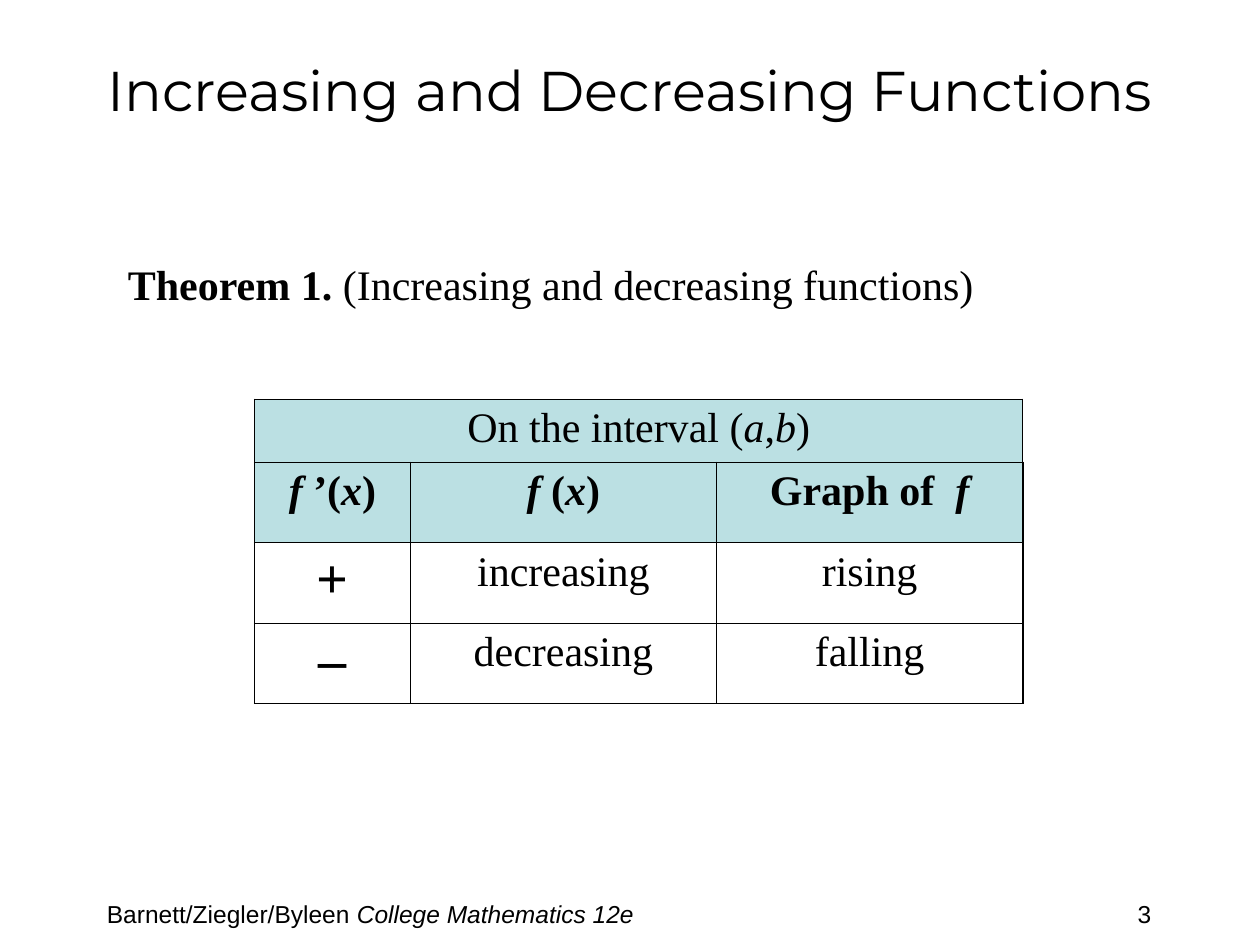
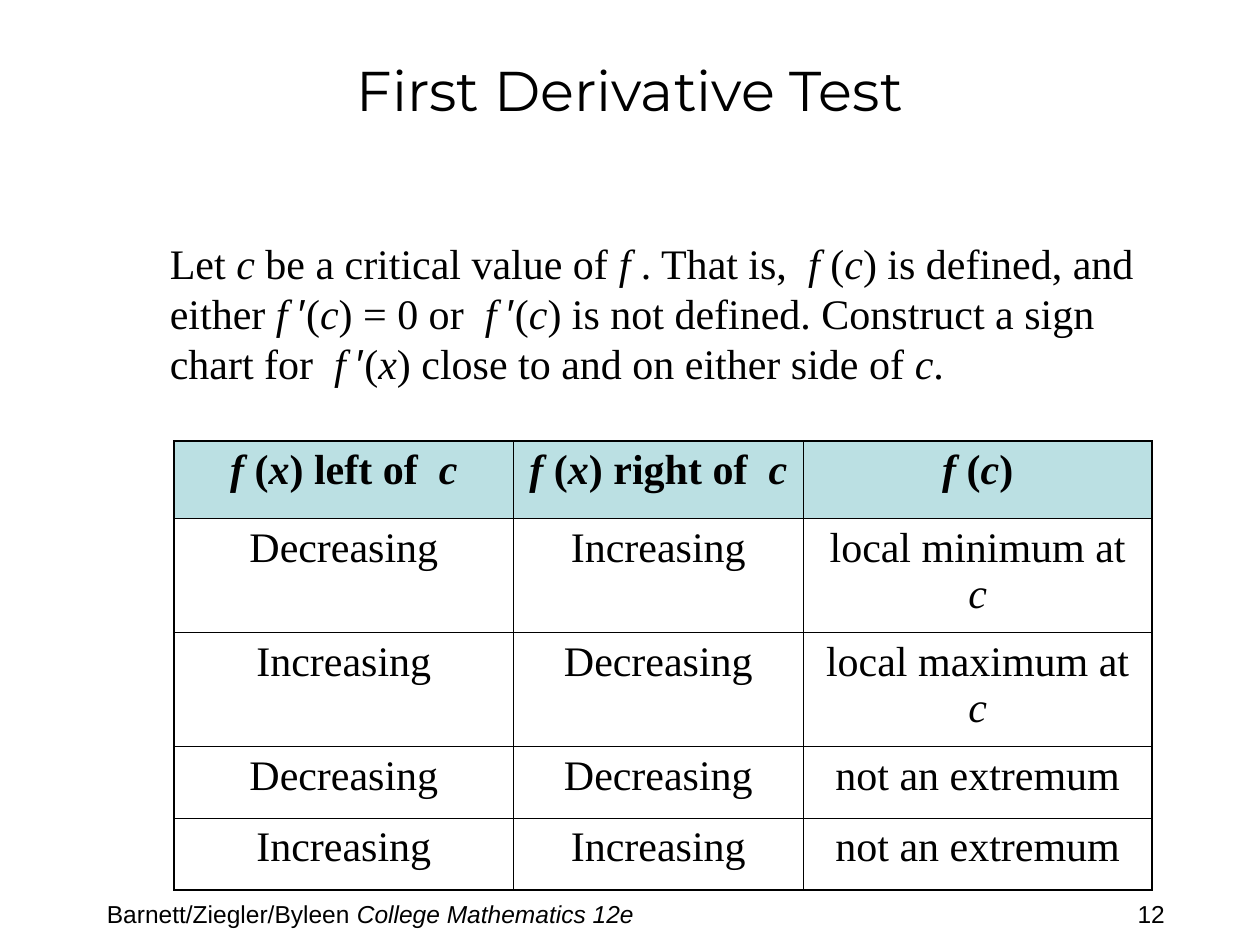
from dataclasses import dataclass
from itertools import groupby

from lxml.etree import SubElement
from pptx import Presentation
from pptx.dml.color import RGBColor
from pptx.enum.text import MSO_ANCHOR, MSO_AUTO_SIZE, PP_ALIGN
from pptx.oxml.ns import qn
from pptx.util import Pt


@dataclass(frozen=True)
class Theme:
    ink: RGBColor = RGBColor(0x00, 0x00, 0x00)
    header_fill: RGBColor = RGBColor(0xBB, 0xE0, 0xE3)
    title_font: str = "Montserrat"
    body_font: str = "Times New Roman"
    footer_font: str = "Arial"
    title_size: int = 32
    body_size: int = 24
    sign_size: int = 32
    footer_size: int = 14
    outer_line: float = 1.08
    inner_line: float = 0.45


theme = Theme()


def write(frame, text, font_name, size, bold=False, alignment=PP_ALIGN.LEFT):
    """Write one paragraph, where *...* toggles bold and _..._ italic."""
    paragraph = frame.paragraphs[0]
    paragraph.alignment = alignment
    for bold_index, bold_part in enumerate(text.split("*")):
        for italic_index, part in enumerate(bold_part.split("_")):
            for is_prime, letters in groupby(part, lambda letter: letter == "′"):
                run = paragraph.add_run()
                run.text = "".join(letters)
                formats = {
                    "name": theme.footer_font if is_prime else font_name,
                    "size": Pt(size),
                    "bold": bold or bold_index % 2 == 1,
                    "italic": italic_index % 2 == 1,
                }
                for name, value in formats.items():
                    setattr(run.font, name, value)
                run.font.color.rgb = theme.ink


def draw_border(cell, side, width):
    line = SubElement(cell._tc.get_or_add_tcPr(), qn(f"a:ln{side}"), w=str(Pt(width)))
    fill = SubElement(line, qn("a:solidFill"))
    SubElement(fill, qn("a:srgbClr"), val=str(theme.ink))


slides = [
    {
        "title": "Increasing and Decreasing Functions",
        "number": "3",
        "statement": "*Theorem 1.* (Increasing and decreasing functions)",
        "statement_box": (66, 144, 516, 36),
        "table_corner": (145.5, 228),
        "columns": [89, 175, 175],
        "rows": [36, 46, 46, 46],
        "header_rows": 2,
        "top_line": theme.inner_line,
        "cells": [
            ["On the interval (_a_,_b_)"],
            ["*_f _’(_x_)*", "*_f_ (_x_)*", "*Graph of  _f_*"],
            ["+", "increasing", "rising"],
            ["–", "decreasing", "falling"],
        ],
    },
    {
        "title": "First Derivative Test",
        "number": "12",
        "statement": (
            "Let _c_ be a critical value of _f_ . That is,  _f_ (_c_) is defined, "
            "and either _f _′(_c_) = 0 or  _f _′(_c_) is not defined. Construct a "
            "sign chart for  _f _′(_x_) close to and on either side of _c_."
        ),
        "statement_box": (90, 132, 570, 94),
        "table_corner": (99.5, 252),
        "columns": [194, 165.5, 199.5],
        "rows": [44.5, 65, 65, 41, 41],
        "header_rows": 1,
        "top_line": theme.outer_line,
        "cells": [
            ["*_f_ (_x_) left of  _c_*", "*_f_ (_x_) right of  _c_*", "*_f_ (_c_)*"],
            ["Decreasing", "Increasing", "local minimum at _c_"],
            ["Increasing", "Decreasing", "local maximum at _c_"],
            ["Decreasing", "Decreasing", "not an extremum"],
            ["Increasing", "Increasing", "not an extremum"],
        ],
    },
]

presentation = Presentation()
presentation.slide_width = Pt(720)
presentation.slide_height = Pt(540)
title_only = presentation.slide_layouts[5]

for content in slides:
    slide = presentation.slides.add_slide(title_only)

    title = slide.shapes.title
    for name, value in {"left": 54, "top": 6, "width": 612, "height": 90}.items():
        setattr(title, name, Pt(value))
    title.text_frame.auto_size = MSO_AUTO_SIZE.NONE
    title.text_frame.vertical_anchor = MSO_ANCHOR.MIDDLE
    write(title.text_frame, content["title"], theme.title_font, theme.title_size,
          alignment=PP_ALIGN.CENTER)

    footer = "Barnett/Ziegler/Byleen _College Mathematics 12e_"
    for text, box, font_name, size in [
        (content["number"], (643, 510, 72, 24), theme.footer_font, theme.footer_size),
        (footer, (54, 510, 420, 18), theme.footer_font, theme.footer_size),
        (content["statement"], content["statement_box"], theme.body_font, theme.body_size),
    ]:
        text_box = slide.shapes.add_textbox(*map(Pt, box))
        text_box.text_frame.word_wrap = True
        write(text_box.text_frame, text, font_name, size)

    columns, rows = content["columns"], content["rows"]
    table = slide.shapes.add_table(
        len(rows), len(columns), *map(Pt, content["table_corner"]),
        Pt(sum(columns)), Pt(sum(rows)),
    ).table
    table.first_row = False
    table.horz_banding = False
    for column, width in zip(table.columns, columns):
        column.width = Pt(width)
    for row, height in zip(table.rows, rows):
        row.height = Pt(height)

    last_row, last_column = len(rows) - 1, len(columns) - 1
    for row_index, texts in enumerate(content["cells"]):
        if len(texts) == 1:
            table.cell(row_index, 0).merge(table.cell(row_index, last_column))
        for column_index in range(len(columns)):
            cell = table.cell(row_index, column_index)
            at_edge = {
                "L": column_index == 0,
                "R": column_index == last_column,
                "T": row_index == 0,
                "B": row_index == last_row,
            }
            for side, outer in at_edge.items():
                edge_line = content["top_line"] if side == "T" else theme.outer_line
                draw_border(cell, side, edge_line if outer else theme.inner_line)
            if row_index < content["header_rows"]:
                cell.fill.solid()
                cell.fill.fore_color.rgb = theme.header_fill
            else:
                cell.fill.background()
            if column_index < len(texts):
                text = texts[column_index]
                is_sign = text in ("+", "–")
                write(cell.text_frame, text, theme.body_font,
                      theme.sign_size if is_sign else theme.body_size,
                      bold=is_sign, alignment=PP_ALIGN.CENTER)

presentation.save("out.pptx")
